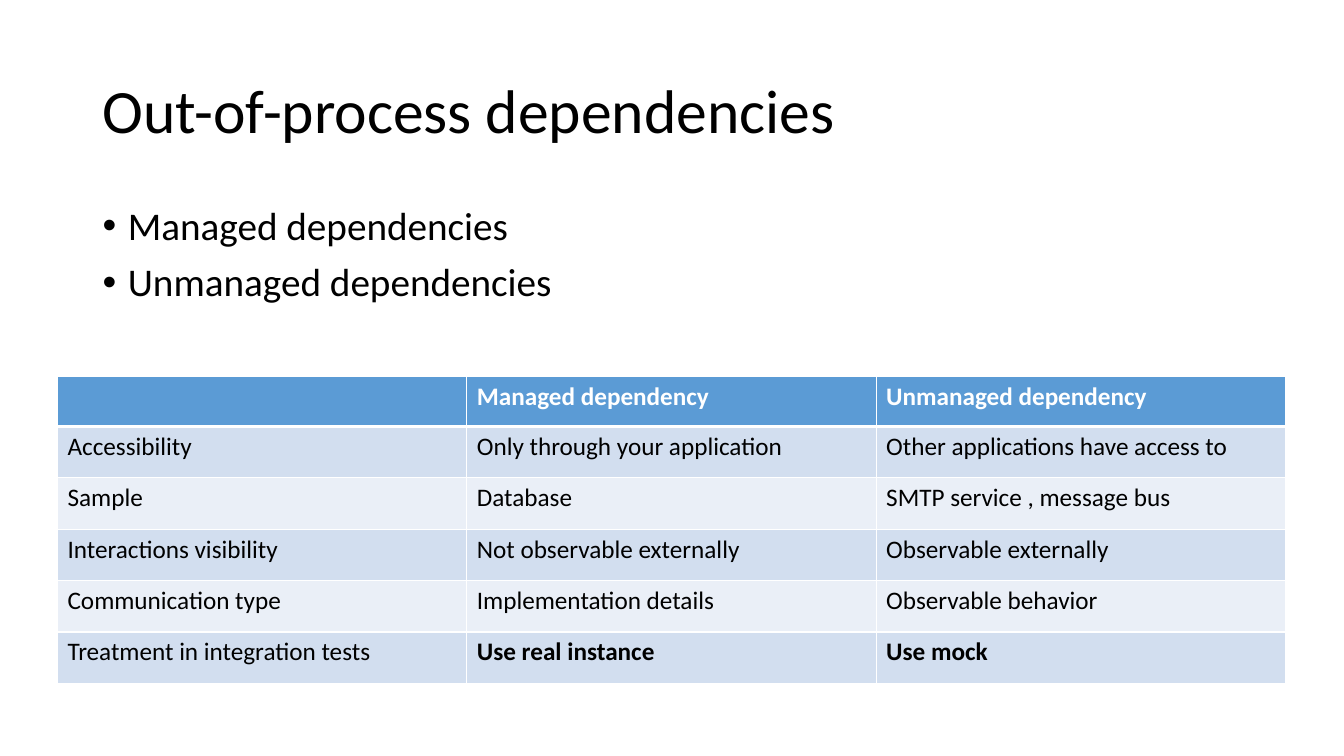
from dataclasses import dataclass

from lxml import etree
from pptx import Presentation
from pptx import util as u
from pptx.dml.color import RGBColor
from pptx.enum import text
from pptx.oxml import ns


@dataclass(frozen=True)
class Theme:
    font: str = "Calibri"
    ink: str = "000000"
    white: str = "FFFFFF"
    head: str = "5B9BD5"
    bands: tuple = ("D2DEEF", "EAEFF7")
    title: int = 44
    body: int = 28
    cell: int = 18


THEME = Theme()

POINTS = ["Managed dependencies", "Unmanaged dependencies"]

ROWS = [
    ("", "Managed dependency", "Unmanaged dependency"),
    ("Accessibility", "Only through your application",
     "Other applications have access to"),
    ("Sample", "Database", "SMTP service , message bus"),
    ("Interactions visibility", "Not observable externally",
     "Observable externally"),
    ("Communication type", "Implementation details", "Observable behavior"),
    ("Treatment in integration tests", "Use real instance", "Use mock"),
]


def add_run(para, words, size, color=THEME.ink, bold=False):
    run = para.add_run()
    run.text = words
    font = run.font
    font.name, font.size, font.bold = THEME.font, u.Pt(size), bold
    font.color.rgb = RGBColor.from_string(color)


def add_box(slide, left, top, width, height, anchor):
    box = slide.shapes.add_textbox(*map(u.Inches, (left, top, width, height)))
    frame = box.text_frame
    frame.word_wrap = True
    frame.vertical_anchor = anchor
    return frame


def add_title(slide, words):
    frame = add_box(slide, 0.92, 0.4, 11.5, 1.45, text.MSO_ANCHOR.MIDDLE)
    para = frame.paragraphs[0]
    para.line_spacing = 0.9
    add_run(para, words, THEME.title)


def add_list(slide, items):
    frame = add_box(slide, 0.92, 2, 11.5, 4.76, text.MSO_ANCHOR.TOP)
    for i, item in enumerate(items):
        para = frame.add_paragraph() if i else frame.paragraphs[0]
        para.line_spacing = 0.9
        para.space_before = u.Pt(10)
        # Hanging bullet
        props = para._p.get_or_add_pPr()
        props.set("marL", str(u.Inches(0.25)))
        props.set("indent", str(-u.Inches(0.25)))
        etree.SubElement(props, ns.qn("a:buFont"), typeface="Arial")
        etree.SubElement(props, ns.qn("a:buChar"), char="•")
        add_run(para, item, THEME.body)


def set_edges(cell, top, bottom):
    props = cell._tc.get_or_add_tcPr()
    for side, width in zip("LRTB", (1, 1, top, bottom)):
        line = etree.SubElement(props, ns.qn(f"a:ln{side}"), w=str(u.Pt(width)))
        fill = etree.SubElement(line, ns.qn("a:solidFill"))
        etree.SubElement(fill, ns.qn("a:srgbClr"), val=THEME.white)


def add_grid(slide, rows):
    count, wide = len(rows), len(rows[0])
    frame = slide.shapes.add_table(
        count, wide, u.Inches(0.57), u.Inches(3.73),
        u.Inches(12.18), u.Inches(3.03))
    table = frame.table
    for col in table.columns:
        col.width = u.Inches(4.06)
    for r, row in enumerate(rows):
        table.rows[r].height = u.Inches(0.51 if r else 0.5)
        for c, words in enumerate(row):
            cell = table.cell(r, c)
            # A thick rule parts the header from the body
            set_edges(cell, 3 if r == 1 else 1, 1 if r else 3)
            cell.fill.solid()
            shade = THEME.bands[(r - 1) % 2] if r else THEME.head
            cell.fill.fore_color.rgb = RGBColor.from_string(shade)
            if words:
                bold = r == 0 or (r == count - 1 and c > 0)
                add_run(cell.text_frame.paragraphs[0], words, THEME.cell,
                        THEME.ink if r else THEME.white, bold)


def main():
    deck = Presentation()
    deck.slide_width, deck.slide_height = u.Inches(13.33), u.Inches(7.5)
    slide = deck.slides.add_slide(deck.slide_layouts[6])

    # Heading and bullets
    add_title(slide, "Out-of-process dependencies")
    add_list(slide, POINTS)

    # Comparison table
    add_grid(slide, ROWS)
    deck.save("out.pptx")


if __name__ == "__main__":
    main()
